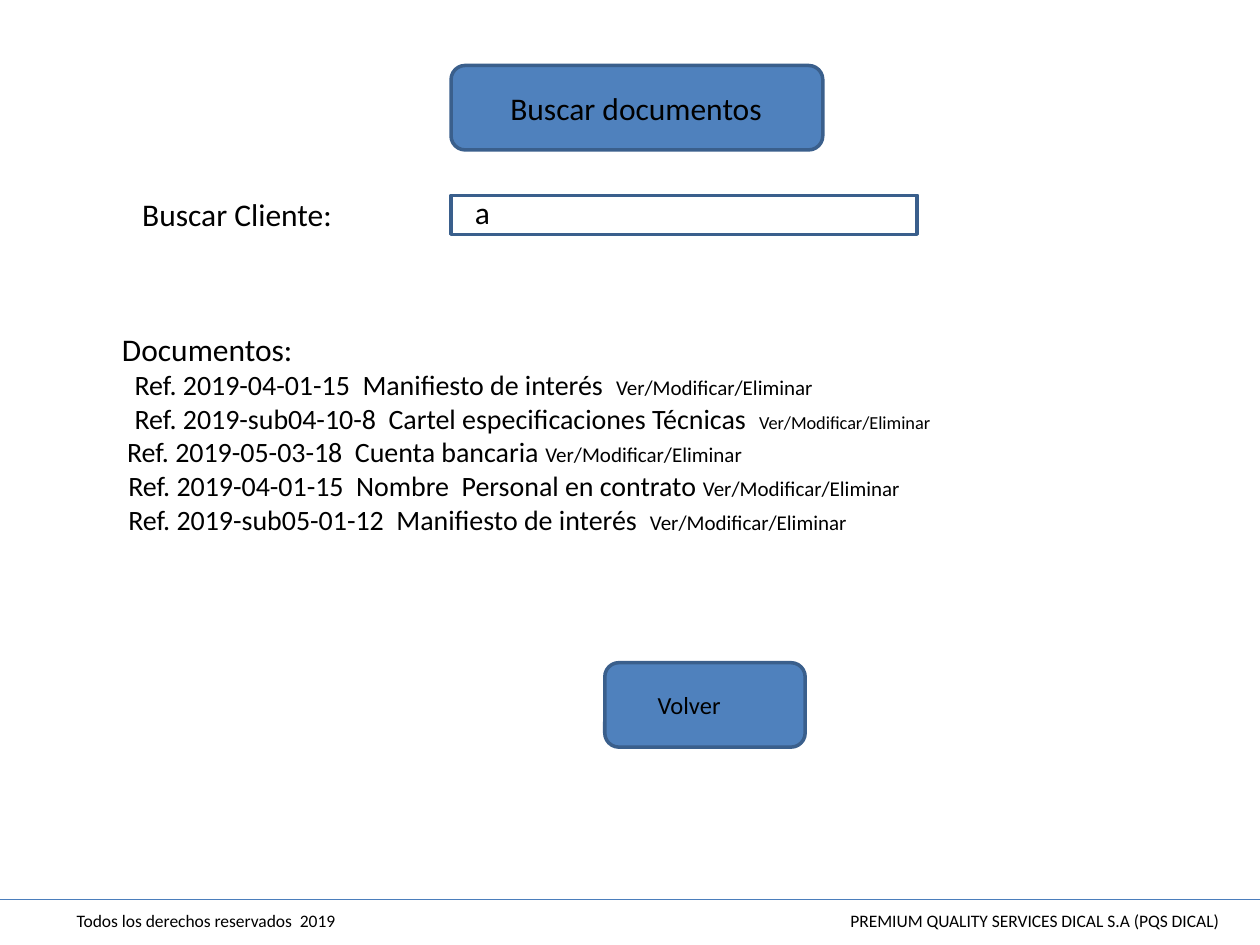
from lxml.etree import SubElement
from pptx import Presentation
from pptx.dml.color import RGBColor
from pptx.enum.shapes import MSO_CONNECTOR, MSO_SHAPE
from pptx.enum.text import MSO_ANCHOR, MSO_AUTO_SIZE, PP_ALIGN
from pptx.oxml.ns import qn
from pptx.util import Inches, Pt

FONT = "Calibri"
BLACK, BLUE, OUTLINE, RULE = "000000", "4F81BD", "3A5F8C", "4B7EBC"
ACTIONS = "Ver/Modificar/Eliminar"
DOCUMENTS = [
    ("Ref. 2019-04-01-15  Manifiesto de interés  ", 0.1, 12),
    ("Ref. 2019-sub04-10-8  Cartel especificaciones Técnicas  ", 0.1, 10.5),
    ("Ref. 2019-05-03-18  Cuenta bancaria ", 0.04, 12),
    ("Ref. 2019-04-01-15  Nombre  Personal en contrato ", 0.05, 12),
    ("Ref. 2019-sub05-01-12  Manifiesto de interés  ", 0.05, 12),
]


def color(value):
    """Return the colour for a hex string."""
    return RGBColor.from_string(value)


def style_font(font, size):
    """Apply the slide's font at the given size."""
    font.name = FONT
    font.size = Pt(size)
    font.color.rgb = color(BLACK)


def add_box(s, kind, left, top, width, height, fill=None):
    """Add an outlined shape, filled when a colour is given."""
    sp = s.shapes.add_shape(kind, Inches(left), Inches(top), Inches(width), Inches(height))
    sp.shadow.inherit = False
    if fill:
        sp.fill.solid()
        sp.fill.fore_color.rgb = color(fill)
    else:
        sp.fill.background()
    sp.line.color.rgb = color(OUTLINE)
    sp.line.width = Pt(2)


def add_text(s, text, left, top, width, height, size):
    """Add a wrapping text box with one paragraph and return its frame."""
    sp = s.shapes.add_textbox(Inches(left), Inches(top), Inches(width), Inches(height))
    tf = sp.text_frame
    tf.word_wrap = True
    p = tf.paragraphs[0]
    p.text = text
    style_font(p.font, size)
    return tf


def add_title(s, text, left, top, width, height):
    """Place the title placeholder over the shapes drawn so far."""
    sp = s.shapes.title
    sp.left, sp.top, sp.width, sp.height = map(Inches, (left, top, width, height))
    tf = sp.text_frame
    tf.text = text
    tf.word_wrap = True
    tf.auto_size = MSO_AUTO_SIZE.NONE
    tf.vertical_anchor = MSO_ANCHOR.TOP
    p = tf.paragraphs[0]
    p.alignment = PP_ALIGN.LEFT
    style_font(p.font, 18)
    sp.element.getparent().append(sp.element)


def add_document(tf, reference, indent, action_size):
    """Add an indented document reference followed by its actions."""
    p = tf.add_paragraph()
    p._p.get_or_add_pPr().set("marL", str(Inches(indent)))
    for text, size in ((reference, 16), (ACTIONS, action_size)):
        r = p.add_run()
        r.text = text
        style_font(r.font, size)


def add_footer(s):
    """Add the footer rule and its two texts."""
    line = s.shapes.add_connector(
        MSO_CONNECTOR.STRAIGHT, Inches(0), Inches(7.14), Inches(10), Inches(7.14))
    line.line.color.rgb = color(RULE)
    line.line.width = Pt(0.75)
    SubElement(line._element.spPr, qn("a:effectLst"))
    add_text(s, "Todos los derechos reservados  2019", 0.51, 7.17, 2.99, 0.27, 10)
    add_text(s, "PREMIUM QUALITY SERVICES DICAL S.A (PQS DICAL)", 6.65, 7.17, 3.21, 0.27, 10)


def main():
    """Build the document search slide."""
    prs = Presentation()
    prs.slide_width, prs.slide_height = Inches(10), Inches(7.5)
    s = prs.slides.add_slide(prs.slide_layouts[5])
    add_footer(s)

    add_box(s, MSO_SHAPE.ROUNDED_RECTANGLE, 3.58, 0.52, 2.95, 0.67, BLUE)
    add_title(s, "Buscar documentos", 3.95, 0.66, 2.45, 0.4)

    add_text(s, "Buscar Cliente:", 1.03, 1.5, 2.48, 0.4, 18)
    add_box(s, MSO_SHAPE.RECTANGLE, 3.58, 1.55, 3.7, 0.31)
    add_text(s, "a", 3.67, 1.48, 2.86, 0.4, 18)

    tf = add_text(s, "Documentos:", 0.87, 2.57, 8.6, 1.75, 18)
    for document in DOCUMENTS:
        add_document(tf, *document)

    add_box(s, MSO_SHAPE.ROUNDED_RECTANGLE, 4.8, 5.26, 1.59, 0.67, BLUE)
    add_text(s, "Volver", 5.12, 5.43, 1.28, 0.34, 14)
    prs.save("out.pptx")


if __name__ == "__main__":
    main()
